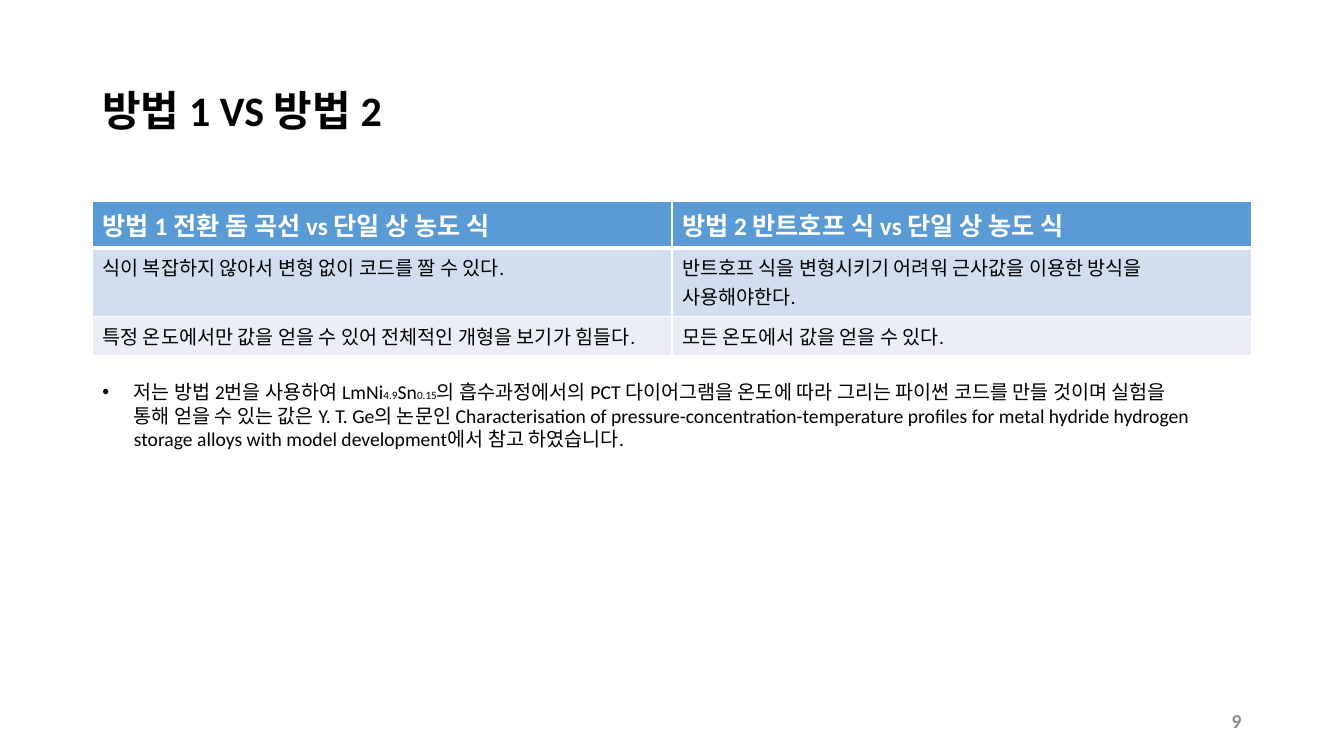
from lxml.etree import SubElement
from pptx import Presentation
from pptx.dml.color import RGBColor
from pptx.enum.text import MSO_ANCHOR as Anchor, PP_ALIGN as Align
from pptx.oxml.ns import qn
from pptx.util import Pt

TITLE = "방법 1 VS 방법 2"
ROWS = [
    ("방법 1 전환 돔 곡선 vs 단일 상 농도 식", "방법 2 반트호프 식 vs 단일 상 농도 식"),
    ("식이 복잡하지 않아서 변형 없이 코드를 짤 수 있다.",
     "반트호프 식을 변형시키기 어려워 근사값을 이용한 방식을 사용해야한다."),
    ("특정 온도에서만 값을 얻을 수 있어 전체적인 개형을 보기가 힘들다.",
     "모든 온도에서 값을 얻을 수 있다."),
]
FILLS = ["5B9BD5", "D2DEEF", "EAEFF7"]
HEIGHTS = [33, 49, 28]
NOTE = [
    ("저는 방법 2번을 사용하여 LmNi", 14), ("4.9", 8), ("Sn", 14), ("0.15", 8),
    ("의 흡수과정에서의 PCT 다이어그램을 온도에 따라 그리는 파이썬 코드를 만들 것이며 "
     "실험을 통해 얻을 수 있는 값은 Y. T. Ge의 논문인 Characterisation of "
     "pressure-concentration-temperature profiles for metal hydride hydrogen "
     "storage alloys with model development에서 참고 하였습니다.", 14),
]
PAGE = "9"
LEFT, WIDTH = 66, 828


def style(font, size, color, bold=False):
    font.name, font.size, font.bold = "Calibri", Pt(size), bold
    font.color.rgb = RGBColor.from_string(color)


def add_text(slide, box, anchor=Anchor.TOP):
    """Add a wrapping text box and return its first paragraph."""
    frame = slide.shapes.add_textbox(*map(Pt, box)).text_frame
    frame.word_wrap = True
    frame.vertical_anchor = anchor
    return frame.paragraphs[0]


def add_edges(cell, low):
    """Draw white cell borders, the bottom one low points wide."""
    props = cell._tc.get_or_add_tcPr()
    for i, (side, wide) in enumerate(zip("LRTB", (1, 1, 1, low))):
        line = props.makeelement(qn(f"a:ln{side}"), {"w": str(Pt(wide))})
        fill = SubElement(line, qn("a:solidFill"))
        SubElement(fill, qn("a:srgbClr"), val="FFFFFF")
        props.insert(i, line)


def add_table(slide):
    shape = slide.shapes.add_table(
        len(ROWS), 2, Pt(LEFT), Pt(144), Pt(WIDTH), Pt(sum(HEIGHTS)))
    table = shape.table
    for r, texts in enumerate(ROWS):
        head = r == 0
        table.rows[r].height = Pt(HEIGHTS[r])
        for c, text in enumerate(texts):
            cell = table.cell(r, c)
            cell.text = text
            cell.fill.solid()
            cell.fill.fore_color.rgb = RGBColor.from_string(FILLS[r])
            style(cell.text_frame.paragraphs[0].font, 18 if head else 14,
                  "FFFFFF" if head else "000000", head)
            add_edges(cell, 3 if head else 1)


def add_note(slide):
    par = add_text(slide, (LEFT, 268, 798.5, 58))
    for text, size in NOTE:
        run = par.add_run()
        run.text = text
        style(run.font, size, "000000")
    props = par._p.get_or_add_pPr()
    props.set("marL", str(Pt(22.5)))
    props.set("indent", str(Pt(-22.5)))
    SubElement(props, qn("a:buFont"), typeface="Arial")
    SubElement(props, qn("a:buChar"), char="•")


def main():
    deck = Presentation()
    deck.slide_width, deck.slide_height = Pt(960), Pt(540)
    slide = deck.slides.add_slide(deck.slide_layouts[6])

    title = add_text(slide, (LEFT, 28.75, WIDTH, 104.5), Anchor.MIDDLE)
    title.text, title.line_spacing = TITLE, 0.9
    style(title.font, 30, "000000", True)

    add_table(slide)

    page = add_text(slide, (678, 500.5, 216, 28.75), Anchor.MIDDLE)
    page.text, page.alignment = PAGE, Align.RIGHT
    style(page.font, 14, "8C8C8C", True)

    add_note(slide)
    deck.save("out.pptx")


if __name__ == "__main__":
    main()
